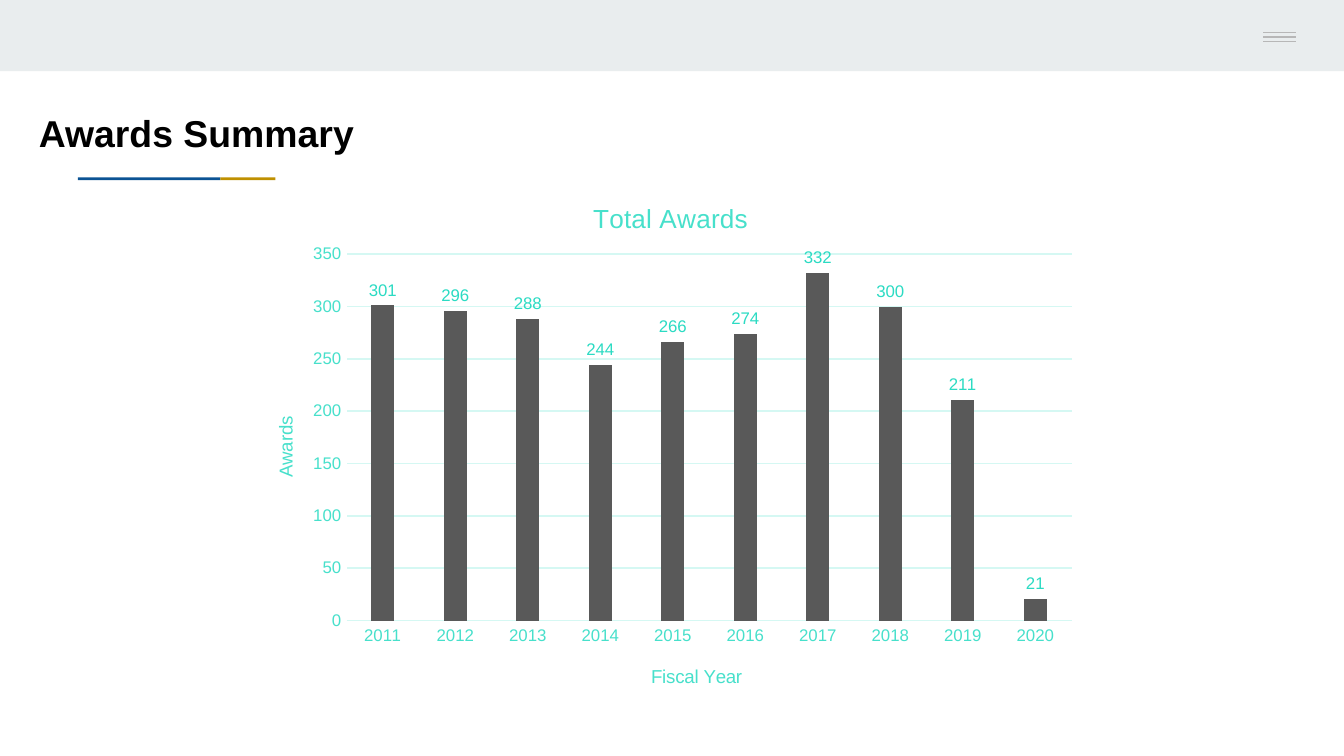
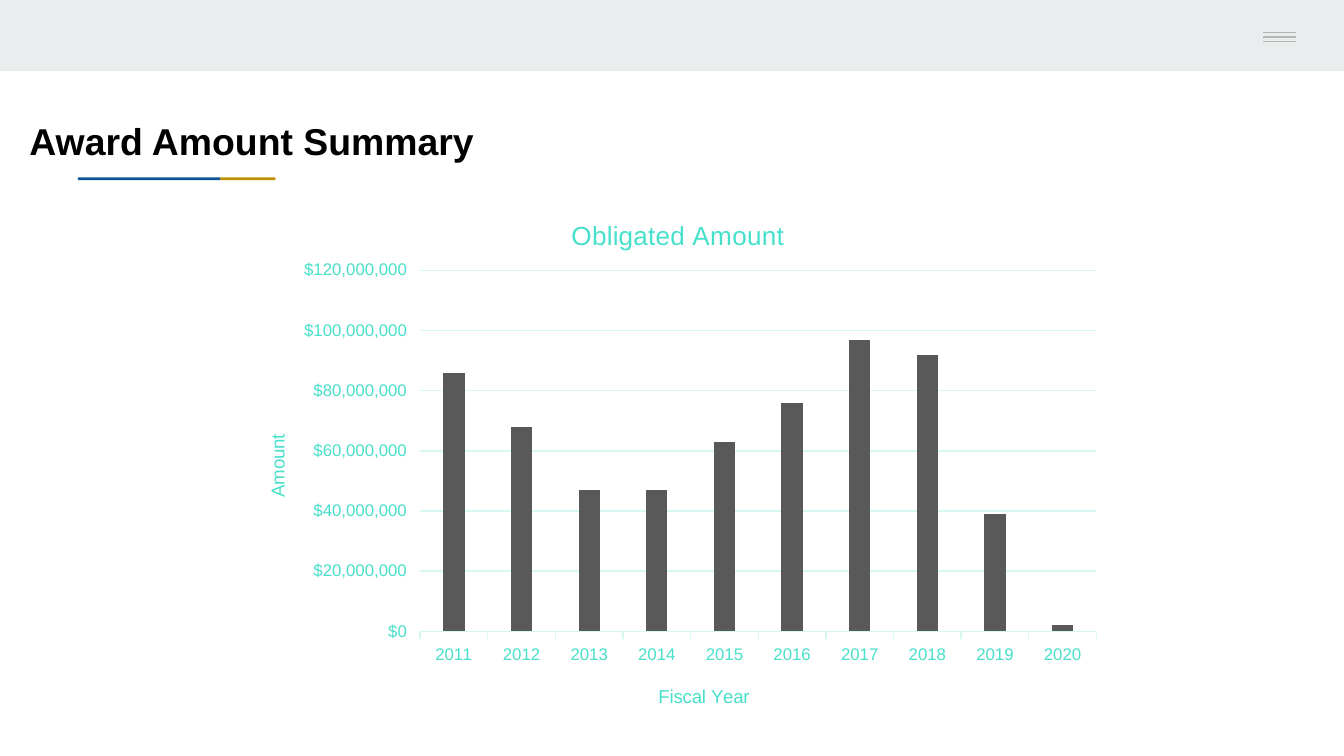
"""Build two award summary slides, each with a column chart by fiscal year."""
from dataclasses import dataclass

from pptx import Presentation
from pptx import oxml
from pptx import util as u
from pptx.chart import data
from pptx.dml import color
from pptx.enum import chart as ce
from pptx.enum import shapes
from pptx.oxml import ns

FONT = "Arial"
COLORS = {
    "band": "E9EDEE",
    "menu": "B7B7B7",
    "gold": "BF9000",
    "blue": "0B5394",
    "title": "000000",
    "chart": "1A9988",
    "axis": "47E0CB",
    "grid": "D5F8F3",
    "label": "2BDBC3",
    "bar": "595959",
}
YEARS = [str(y) for y in range(2011, 2021)]


@dataclass(frozen=True)
class Bar:
    """A plain filled rectangle, in inches."""
    left: float
    top: float
    width: float
    height: float
    color: str


@dataclass(frozen=True)
class AwardSlide:
    """The title and chart of one slide, with chart parts as fractions."""
    title: str
    title_at: tuple[float, float]
    chart_title: str
    chart_title_x: float
    series: str
    values: list[int]
    value_title: str
    chart_at: tuple[float, float, float, float]
    plot_at: tuple[float, float, float, float]
    top_value: int
    step: int
    number_format: str
    tick: ce.XL_TICK_MARK
    labels: bool


BARS = [
    Bar(0, 0, 10, 0.53, "band"),
    Bar(9.06, 0, 0.94, 0.5, "band"),
    Bar(0.58, 1.32, 1.06, 0.02, "blue"),
    Bar(1.64, 1.32, 0.41, 0.02, "gold"),
]
SLIDES = [
    AwardSlide(
        "Awards Summary", (0.19, 0.77), "Total Awards", 0.41, "Series 1",
        [301, 296, 288, 244, 266, 274, 332, 300, 211, 21], "Awards",
        (1.79, 1.27, 6.31, 4.01), (0.125, 0.155, 0.855, 0.68),
        350, 50, "General", ce.XL_TICK_MARK.NONE, True),
    AwardSlide(
        "Award Amount Summary", (0.12, 0.83), "Obligated Amount", 0.38,
        "Obligated Amount",
        [m * 1_000_000 for m in (86, 68, 47, 47, 63, 76, 97, 92, 39, 2)],
        "Amount", (1.72, 1.39, 6.57, 4.04), (0.214, 0.154, 0.766, 0.665),
        120_000_000, 20_000_000, '"$"#,##0', ce.XL_TICK_MARK.OUTSIDE, False),
]


def rgb(name: str) -> color.RGBColor:
    """Return a palette colour."""
    return color.RGBColor.from_string(COLORS[name])


def set_font(font, size: float, name: str, bold: bool = False) -> None:
    """Set the face, size, weight and colour of a font."""
    font.name = FONT
    font.size = u.Pt(size)
    font.bold = bold
    font.color.rgb = rgb(name)


def write(tf, text: str, *, size: float, name: str, bold: bool = False) -> None:
    """Write one formatted run into a text frame."""
    r = tf.paragraphs[0].add_run()
    r.text = text
    set_font(r.font, size, name, bold)


def set_line(line, name: str) -> None:
    """Give a line the standard width and a palette colour."""
    line.color.rgb = rgb(name)
    line.width = u.Pt(0.75)


def set_layout(parent, index: int, **parts: float) -> None:
    """Place a chart part by fractions of the chart area."""
    for old in parent.findall(ns.qn("c:layout")):
        parent.remove(old)
    target = '<c:layoutTarget val="inner"/>' if "w" in parts else ""
    modes = "".join(f'<c:{k}Mode val="edge"/>' for k in "xy")
    sizes = "".join(f'<c:{k} val="{v}"/>' for k, v in parts.items())
    parent.insert(index, oxml.parse_xml(
        f'<c:layout {ns.nsdecls("c")}><c:manualLayout>{target}{modes}{sizes}'
        '</c:manualLayout></c:layout>'))


def add_heading(owner, title, text: str, size: float, x: float, y: float) -> None:
    """Write and place the title of a chart or of an axis."""
    owner.has_title = True
    write(title.text_frame, text, size=size, name="axis")
    set_layout(title._element, 1, x=x, y=y)


def add_frame(s) -> None:
    """Draw the top band, the menu icon and the title rule."""
    for b in BARS:
        sp = s.shapes.add_shape(
            shapes.MSO_SHAPE.RECTANGLE,
            *map(u.Inches, (b.left, b.top, b.width, b.height)))
        sp.shadow.inherit = False
        sp.fill.solid()
        sp.fill.fore_color.rgb = rgb(b.color)
        sp.line.fill.background()
    for i in range(3):
        y = u.Inches(0.24 + i * 0.035)
        c = s.shapes.add_connector(
            shapes.MSO_CONNECTOR.STRAIGHT, u.Inches(9.4), y, u.Inches(9.64), y)
        set_line(c.line, "menu")
        c._element.spPr.append(
            oxml.parse_xml(f'<a:effectLst {ns.nsdecls("a")}/>'))


def add_chart(s, spec: AwardSlide) -> None:
    """Add the column chart of one slide."""
    cd = data.CategoryChartData(number_format=spec.number_format)
    cd.categories = YEARS
    cd.add_series(spec.series, spec.values)
    chart = s.shapes.add_chart(
        ce.XL_CHART_TYPE.COLUMN_CLUSTERED,
        *map(u.Inches, spec.chart_at), cd).chart
    set_font(chart.font, 10, "chart")
    chart.has_legend = False
    add_heading(chart, chart.chart_title, spec.chart_title, 14,
                spec.chart_title_x, 0.049)
    cat, val = chart.category_axis, chart.value_axis
    add_heading(cat, cat.axis_title, "Fiscal Year", 10, 0.48, 0.91)
    add_heading(val, val.axis_title, spec.value_title, 10, 0.035, 0.45)
    for axis in (cat, val):
        axis.major_tick_mark = spec.tick
        axis.minor_tick_mark = ce.XL_TICK_MARK.NONE
        set_font(axis.tick_labels.font, 9, "axis")
    set_line(cat.format.line, "grid")
    val.format.line.fill.background()
    val.has_major_gridlines = True
    set_line(val.major_gridlines.format.line, "grid")
    val.minimum_scale, val.maximum_scale = 0, spec.top_value
    val.major_unit = spec.step
    val.tick_labels.number_format = spec.number_format
    val.tick_labels.number_format_is_linked = False

    plot = chart.plots[0]
    plot.gap_width, plot.overlap = 219, -27
    plot.vary_by_categories = False
    fill = plot.series[0].format.fill
    fill.solid()
    fill.fore_color.rgb = rgb("bar")
    if spec.labels:
        labels = plot.series[0].data_labels
        labels.show_value = True
        labels.position = ce.XL_LABEL_POSITION.OUTSIDE_END
        set_font(labels.font, 9, "label")
    area = chart._chartSpace.chart.plotArea
    set_layout(area, 0, **dict(zip("xywh", spec.plot_at)))


def main() -> None:
    """Build and save the presentation."""
    prs = Presentation()
    prs.slide_width, prs.slide_height = u.Inches(10), u.Inches(5.625)
    for spec in SLIDES:
        s = prs.slides.add_slide(prs.slide_layouts[6])
        add_frame(s)
        tb = s.shapes.add_textbox(
            *map(u.Inches, (*spec.title_at, 3.58, 0.44)))
        tb.text_frame.word_wrap = True
        write(tb.text_frame, spec.title, size=20, name="title", bold=True)
        add_chart(s, spec)
    prs.save("out.pptx")


if __name__ == "__main__":
    main()
